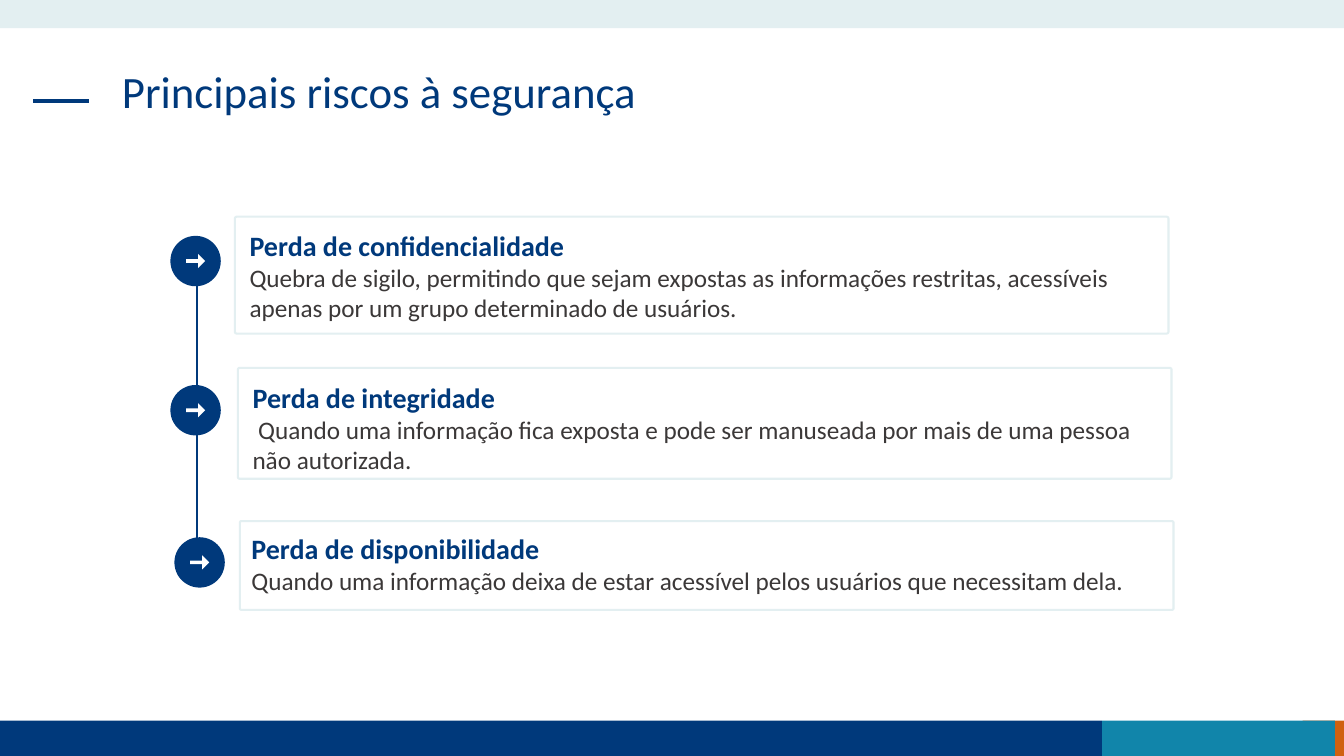
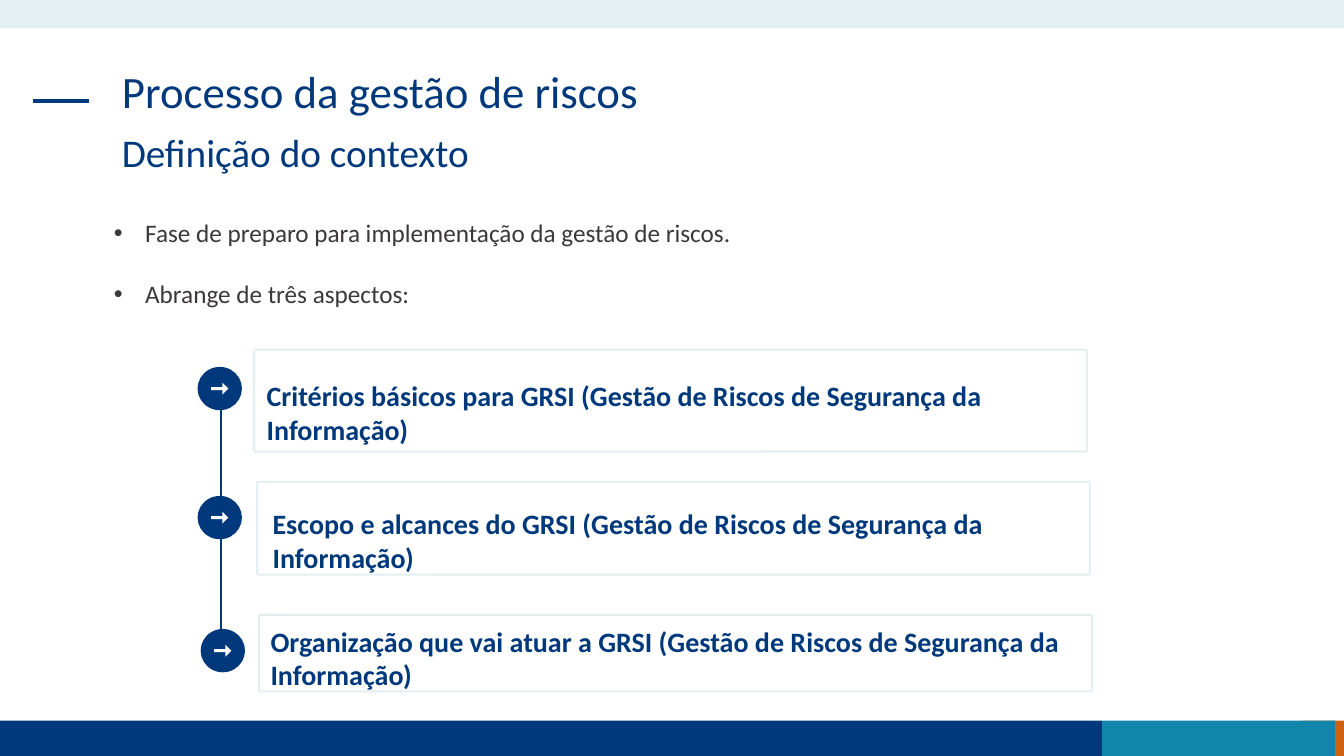
from pptx import Presentation
from pptx.dml.color import RGBColor
from pptx.enum.shapes import MSO_CONNECTOR, MSO_SHAPE
from pptx.enum.text import MSO_ANCHOR, MSO_AUTO_SIZE, PP_ALIGN
from pptx.oxml.ns import qn
from pptx.util import Inches, Pt
from lxml import etree

NAVY = RGBColor(0x00, 0x39, 0x7B)
TEAL = RGBColor(0x11, 0x85, 0xAA)
ORANGE = RGBColor(0xD0, 0x61, 0x10)
PALE = RGBColor(0xE3, 0xEF, 0xF1)
GREY = RGBColor(0x3B, 0x38, 0x38)
WHITE = RGBColor(0xFF, 0xFF, 0xFF)
FONT = "Calibri"
RECT, OVAL = MSO_SHAPE.RECTANGLE, MSO_SHAPE.OVAL
ROUND_RECT, ARROW = MSO_SHAPE.ROUNDED_RECTANGLE, MSO_SHAPE.RIGHT_ARROW
STRAIGHT = MSO_CONNECTOR.STRAIGHT
TOP, LEFT, NO_FIT = MSO_ANCHOR.TOP, PP_ALIGN.LEFT, MSO_AUTO_SIZE.NONE


def add_block(s, kind, box, fill=None):
    """Add a shadowless preset shape: filled, or outlined in the pale colour."""
    sp = s.shapes.add_shape(kind, *map(Inches, box))
    sp.shadow.inherit = False
    if fill is None:
        sp.fill.background()
        sp.line.color.rgb = PALE
        sp.line.width = Pt(1.5)
    else:
        sp.fill.solid()
        sp.fill.fore_color.rgb = fill
        sp.line.fill.background()
    return sp


def add_line(s, x1, y1, x2, y2, width):
    line = s.shapes.add_connector(STRAIGHT, *map(Inches, (x1, y1, x2, y2)))
    line.line.color.rgb = NAVY
    line.line.width = Pt(width)
    etree.SubElement(line.element.spPr, qn("a:effectLst"))
    return line


slides = [
    {
        "title": "Principais riscos à segurança",
        "subtitle": None,
        "bullets": [],
        "circle": (0.5, 0.5),
        "arrow": (0.19, 0.14),
        "line_x": 1.95,
        "circles": [(1.69, 2.34), (1.69, 3.82), (1.73, 5.33)],
        "card_width": 9.26,
        # left, top, height, left inset, top inset, heading, details
        "cards": [
            (2.33, 2.15, 1.16, 0.14, 0.11, "Perda de confidencialidade",
             "Quebra de sigilo, permitindo que sejam expostas as informações "
             "restritas, acessíveis apenas por um grupo determinado de usuários."),
            (2.36, 3.65, 1.1, 0.14, 0.12, "Perda de integridade",
             " Quando uma informação fica exposta e pode ser manuseada por mais "
             "de uma pessoa não autorizada."),
            (2.38, 5.17, 0.88, 0.11, 0.1, "Perda de disponibilidade",
             "Quando uma informação deixa de estar acessível pelos usuários que "
             "necessitam dela."),
        ],
    },
    {
        "title": "Processo da gestão de riscos",
        "subtitle": "Definição do contexto",
        "bullets": ["Fase de preparo para implementação da gestão de riscos.",
                    "Abrange de três aspectos:"],
        "circle": (0.44, 0.43),
        "arrow": (0.17, 0.12),
        "line_x": 2.19,
        "circles": [(1.96, 3.64), (1.96, 4.92), (1.99, 6.24)],
        "card_width": 8.26,
        "cards": [
            (2.52, 3.47, 1.01, 0.12, 0.28,
             "Critérios básicos para GRSI (Gestão de Riscos de Segurança da Informação)", None),
            (2.55, 4.78, 0.92, 0.15, 0.24,
             "Escopo e alcances do GRSI (Gestão de Riscos de Segurança da Informação)", None),
            (2.57, 6.1, 0.76, 0.11, 0.09,
             "Organização que vai atuar a GRSI (Gestão de Riscos de Segurança da Informação)",
             None),
        ],
    },
]

prs = Presentation()
prs.slide_width, prs.slide_height = Inches(13.33), Inches(7.5)
content_layout, title_layout = prs.slide_layouts[1], prs.slide_layouts[5]

for data in slides:
    s = prs.slides.add_slide(content_layout if data["bullets"] else title_layout)

    # Title and subtitle
    title = s.shapes.title
    title.left, title.top, title.width, title.height = map(Inches, (1.11, 0.64, 11.1, 0.94))
    headings = [(title, data["title"], 32)]
    if data["subtitle"]:
        subtitle = s.shapes.add_textbox(*map(Inches, (1.11, 1.28, 10.56, 0.59)))
        headings.append((subtitle, data["subtitle"], 28))
    for sp, text, size in headings:
        tf = sp.text_frame
        tf.text = text
        tf.word_wrap, tf.auto_size, tf.vertical_anchor = True, NO_FIT, TOP
        p = tf.paragraphs[0]
        p.alignment, p.line_spacing = LEFT, 0.9
        font = p.runs[0].font
        font.name, font.size, font.color.rgb = FONT, Pt(size), NAVY

    # Bulleted list
    if data["bullets"]:
        body = s.placeholders[1]
        body.left, body.top, body.width, body.height = map(Inches, (1.03, 2.11, 11.1, 1.01))
        tf = body.text_frame
        tf.text = "\n".join(data["bullets"])
        tf.auto_size, tf.vertical_anchor = NO_FIT, TOP
        for i, p in enumerate(tf.paragraphs):
            p.space_before = Pt(22 if i else 0)
            pPr = p._p.get_or_add_pPr()
            pPr.set("marL", str(Inches(0.31)))
            pPr.set("indent", str(-Inches(0.31)))
            etree.SubElement(pPr, qn("a:buFont")).set("typeface", "Arial")
            etree.SubElement(pPr, qn("a:buChar")).set("char", "•")
            font = p.runs[0].font
            font.name, font.size, font.color.rgb = FONT, Pt(18), GREY

    # Chain of arrow circles
    cw, ch = data["circle"]
    aw, ah = data["arrow"]
    tops = [y for x, y in data["circles"]]
    for y, next_y in zip(tops, tops[1:]):
        add_line(s, data["line_x"], y + 0.75 * ch, data["line_x"], next_y + 0.05, 1.5)
    for x, y in data["circles"]:
        add_block(s, OVAL, (x, y, cw, ch), NAVY)
        arrow = add_block(s, ARROW, (x + (cw - aw) / 2, y + (ch - ah) / 2, aw, ah), WHITE)
        arrow.adjustments[0] = 0.255

    # Text cards
    for x, y, h, inset_x, inset_y, heading, details in data["cards"]:
        card = add_block(s, ROUND_RECT, (x, y, data["card_width"], h))
        card.adjustments[0] = 0.016
        tf = card.text_frame
        tf.text = f"{heading}\n{details}" if details else heading
        tf.word_wrap, tf.vertical_anchor = True, TOP
        tf.margin_left, tf.margin_top = Inches(inset_x), Inches(inset_y)
        tf.margin_right, tf.margin_bottom = Inches(0.25), 0
        for i, p in enumerate(tf.paragraphs):
            p.alignment = LEFT
            font = p.runs[0].font
            font.name, font.bold = FONT, i == 0
            font.size, font.color.rgb = (Pt(18), GREY) if i else (Pt(20), NAVY)

# Bands and title dash are drawn once, then moved to the slide master
bands = [
    ((12.92, 7.15, 0.41, 0.35), ORANGE),
    ((0, 7.15, 10.93, 0.35), NAVY),
    ((10.93, 7.15, 2.31, 0.35), TEAL),
    ((0, 0, 13.33, 0.28), PALE),
]
decor = [add_block(s, RECT, box, fill) for box, fill in bands]
decor.append(add_line(s, 0.33, 1, 0.88, 1, 3))
master_tree = prs.slide_master.shapes.element
for i, sp in enumerate(decor):
    sp.element.xpath(".//p:cNvPr")[0].set("id", str(100 + i))
    master_tree.insert(2 + i, sp.element)

prs.save("out.pptx")
